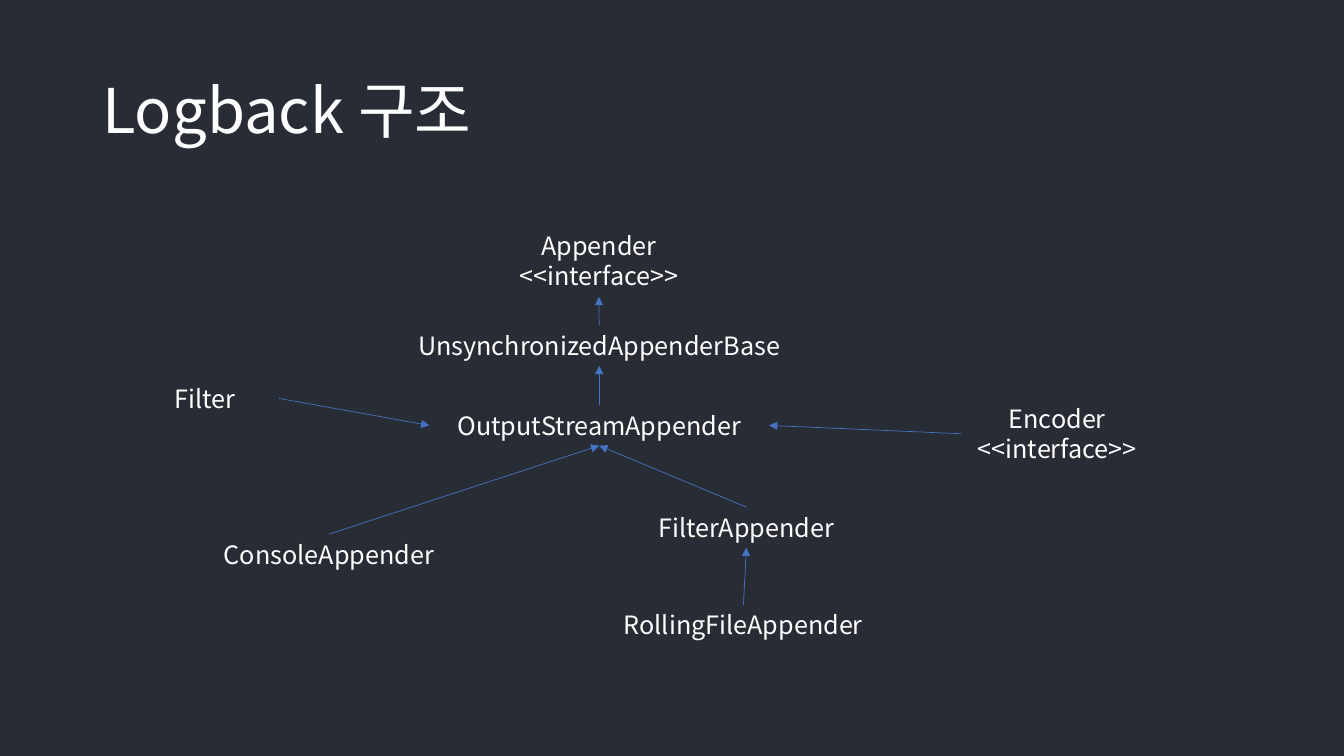
import pptx
import pptx.dml.color
import pptx.enum.shapes
import pptx.enum.text
import pptx.oxml.ns
import pptx.util
from lxml import etree

Cm = pptx.util.Cm
Pt = pptx.util.Pt
qn = pptx.oxml.ns.qn
FONT = "Noto Sans CJK KR"
COLORS = {"back": "282C34", "text": "FFFFFF", "line": "4472C4"}
TOP, LEFT, BOTTOM, RIGHT = range(4)

# text, left, top, width in cm
NODES = [
    ("Filter", 3.3, 9.53, 3.73),
    ("ConsoleAppender", 5.18, 13.46, 6.22),
    ("OutputStreamAppender", 10.82, 10.21, 8.56),
    ("UnsynchronizedAppenderBase", 10.06, 8.2, 10.08),
    ("Appender\n<<interface>>", 11.73, 5.68, 6.73),
    ("RollingFileAppender", 15.09, 15.24, 7.29),
    ("FilterAppender", 15.7, 12.78, 6.22),
    ("Encoder\n<<interface>>", 24.23, 10.03, 4.83),
]

# start node, its side, end node, its side
LINKS = [
    ("Filter", RIGHT, "OutputStreamAppender", LEFT),
    ("Encoder", LEFT, "OutputStreamAppender", RIGHT),
    ("FilterAppender", TOP, "OutputStreamAppender", BOTTOM),
    ("ConsoleAppender", TOP, "OutputStreamAppender", BOTTOM),
    ("RollingFileAppender", TOP, "FilterAppender", BOTTOM),
    ("OutputStreamAppender", TOP, "UnsynchronizedAppenderBase", BOTTOM),
    ("UnsynchronizedAppenderBase", TOP, "Appender", BOTTOM),
]


def color(name):
    """Return the named colour."""
    return pptx.dml.color.RGBColor.from_string(COLORS[name])


def add_text(slide, text, left, top, width, height, size):
    """Add a wrapped text box and return it."""
    box = slide.shapes.add_textbox(Cm(left), Cm(top), Cm(width), Cm(height))
    frame = box.text_frame
    frame.word_wrap = True
    frame.text = text
    for para in frame.paragraphs:
        for run in para.runs:
            run.font.size = Pt(size)
            run.font.color.rgb = color("text")
            run.font.name = FONT
            asian = etree.SubElement(run.font._element, qn("a:ea"))
            asian.set("typeface", FONT)
    return box


def add_title(slide, text):
    """Add the slide title."""
    frame = add_text(slide, text, 2.33, 1.01, 29.21, 3.68, 44).text_frame
    frame.vertical_anchor = pptx.enum.text.MSO_ANCHOR.MIDDLE
    frame.paragraphs[0].line_spacing = 0.9


def add_node(slide, text, left, top, width):
    """Add a centred class label whose height follows its line count."""
    height = 1.8 if "\n" in text else 1.02
    box = add_text(slide, text, left, top, width, height, 18)
    box.text_frame.auto_size = pptx.enum.text.MSO_AUTO_SIZE.SHAPE_TO_FIT_TEXT
    for para in box.text_frame.paragraphs:
        para.alignment = pptx.enum.text.PP_ALIGN.CENTER
    return box


def add_arrow(slide, start, side, end, goal):
    """Join two labels with a thin arrow glued to their sides."""
    kind = pptx.enum.shapes.MSO_CONNECTOR.STRAIGHT
    arrow = slide.shapes.add_connector(kind, 0, 0, 0, 0)
    arrow.begin_connect(start, side)
    arrow.end_connect(end, goal)
    arrow.line.color.rgb = color("line")
    arrow.line.width = Pt(0.5)
    props = arrow._element.spPr
    etree.SubElement(props.find(qn("a:ln")), qn("a:tailEnd")).set("type", "triangle")
    etree.SubElement(props, qn("a:effectLst"))


def main():
    """Build the class diagram slide."""
    deck = pptx.Presentation()
    deck.slide_width, deck.slide_height = Cm(33.87), Cm(19.05)
    slide = deck.slides.add_slide(deck.slide_layouts[6])
    slide.background.fill.solid()
    slide.background.fill.fore_color.rgb = color("back")
    add_title(slide, "Logback 구조")
    nodes = {}
    for text, *place in NODES:
        nodes[text.split("\n")[0]] = add_node(slide, text, *place)
    for start, side, end, goal in LINKS:
        add_arrow(slide, nodes[start], side, nodes[end], goal)
    deck.save("out.pptx")


main()
